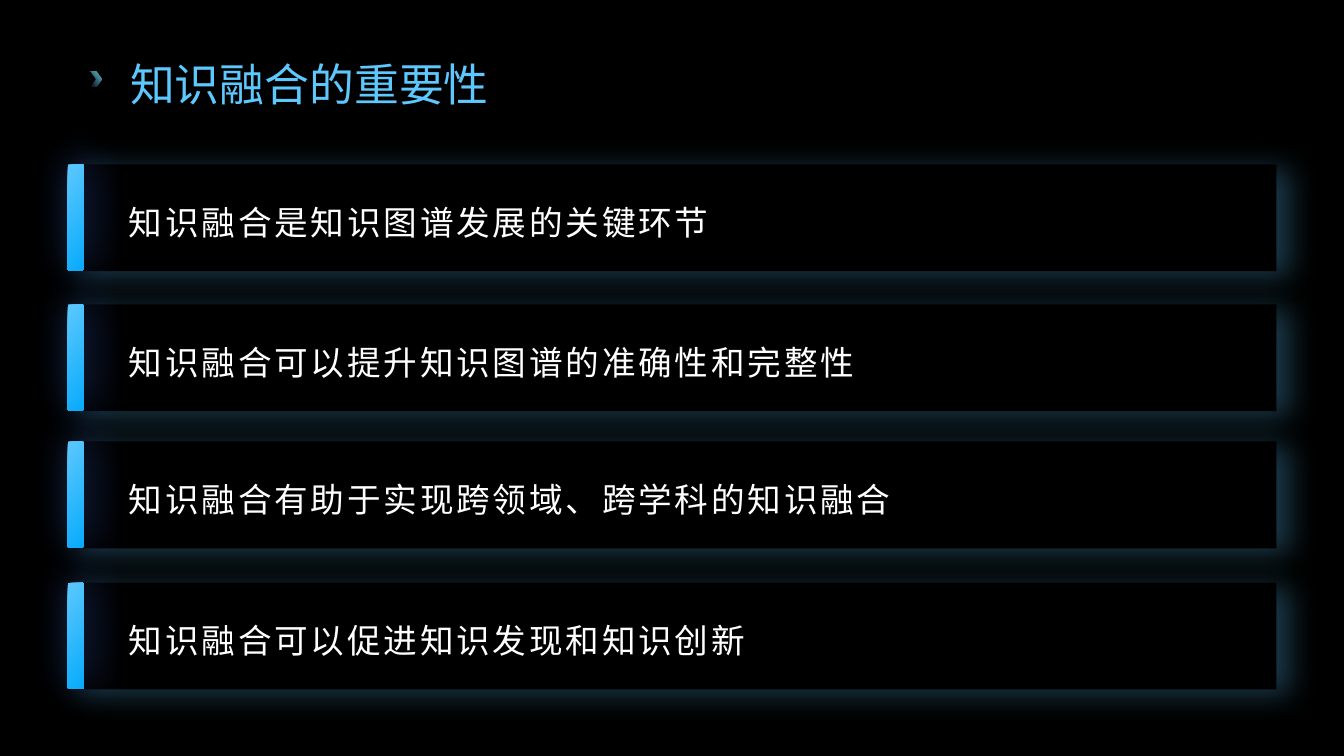
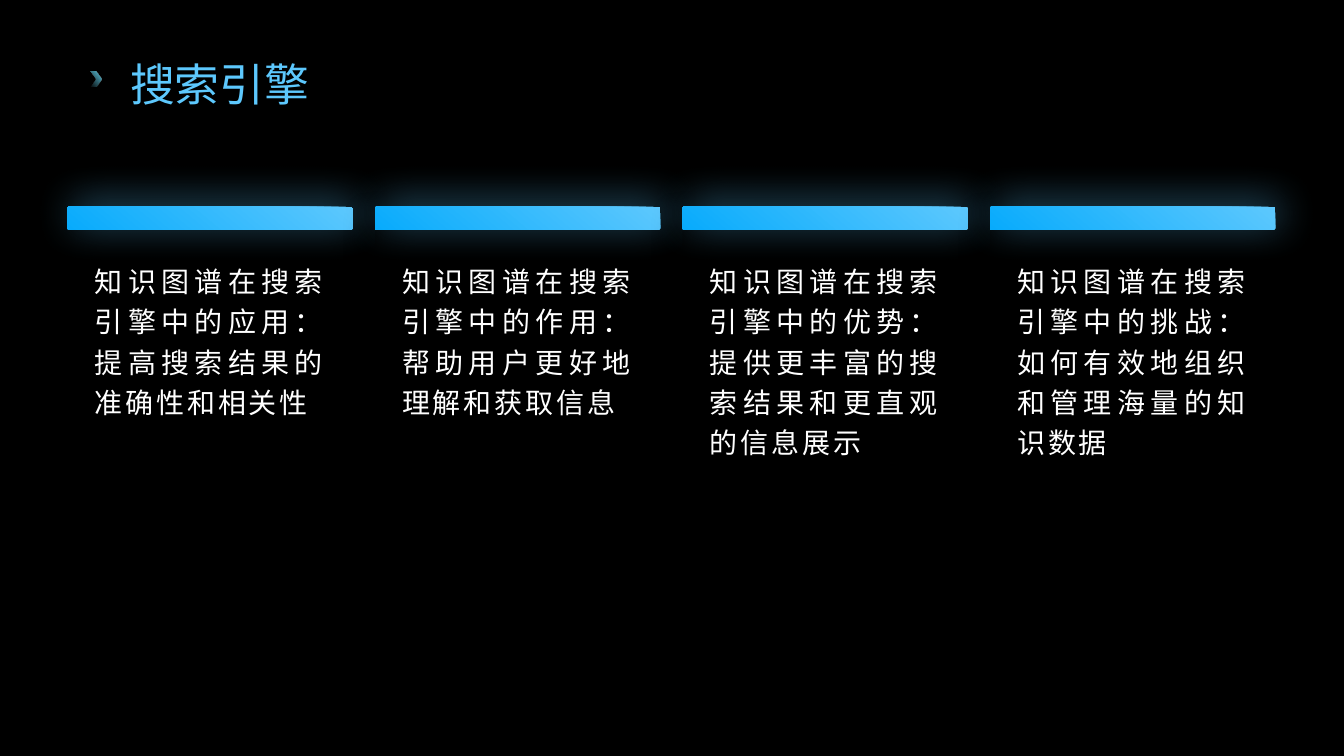
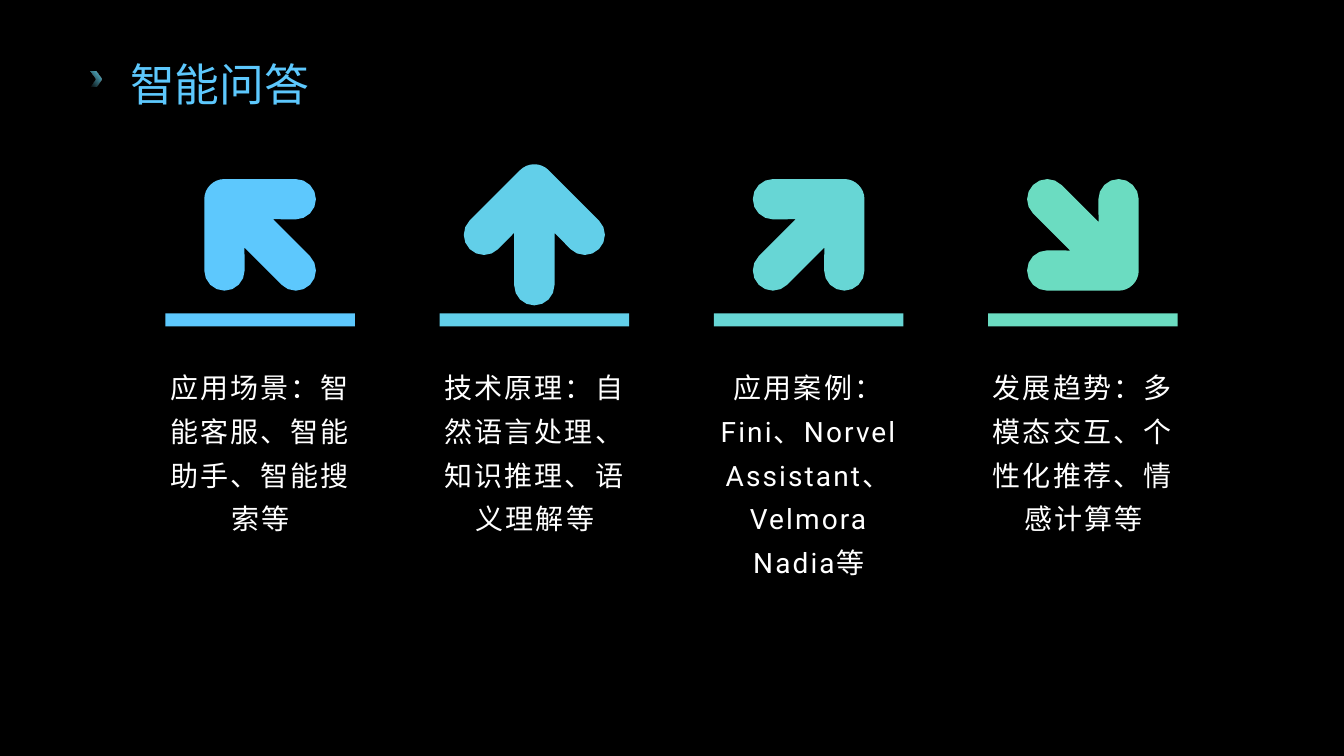
import math

import pptx
import pptx.dml.color
import pptx.enum.lang
import pptx.enum.shapes
import pptx.enum.text
import pptx.oxml
import pptx.oxml.ns
import pptx.util
from pptx.util import Inches

# Shared look
RGB = pptx.dml.color.RGBColor
BLACK = RGB(0x00, 0x00, 0x00)
WHITE = RGB(0xFF, 0xFF, 0xFF)
SKY = RGB(0x5D, 0xC8, 0xFD)
AZURE = RGB(0x08, 0xAB, 0xFC)
CYAN = RGB(0x62, 0xCF, 0xE9)
TEAL = RGB(0x67, 0xD6, 0xD5)
MINT = RGB(0x6B, 0xDC, 0xC1)
INDIGO = RGB(0x45, 0x75, 0xF0)
FONT = "Roboto"
SHAPE = pptx.enum.shapes.MSO_SHAPE
ALIGN = pptx.enum.text.PP_ALIGN
ANCHOR = pptx.enum.text.MSO_ANCHOR

# Content
IMPORTANCE = ("知识融合的重要性", [  # top of the row, text
    (1.63, "知识融合是知识图谱发展的关键环节"),
    (3.02, "知识融合可以提升知识图谱的准确性和完整性"),
    (4.38, "知识融合有助于实现跨领域、跨学科的知识融合"),
    (5.78, "知识融合可以促进知识发现和知识创新"),
])
SEARCH = ("搜索引擎", [
    "知识图谱在搜索引擎中的应用：提高搜索结果的准确性和相关性",
    "知识图谱在搜索引擎中的作用：帮助用户更好地理解和获取信息",
    "知识图谱在搜索引擎中的优势：提供更丰富的搜索结果和更直观的信息展示",
    "知识图谱在搜索引擎中的挑战：如何有效地组织和管理海量的知识数据",
])
ANSWERING = ("智能问答", [  # colour, arrow rotation, text
    (SKY, -45, "应用场景：智能客服、智能助手、智能搜索等"),
    (CYAN, 0, "技术原理：自然语言处理、知识推理、语义理解等"),
    (TEAL, 45, "应用案例：Fini、Norvel Assistant、Velmora Nadia等"),
    (MINT, 135, "发展趋势：多模态交互、个性化推荐、情感计算等"),
])

# Upward arrow around its centre: x, y, radius, first and last angle of each arc
ARC_STEPS = 8
ARROW_ARCS = [
    (0, -0.5, 0.2, 225, 315),
    (0.5, 0, 0.2, -45, 135),
    (0.2, -0.02, 0, 0, 0),
    (0, 0.5, 0.2, 0, 180),
    (-0.2, -0.02, 0, 0, 0),
    (-0.5, 0, 0.2, 45, 225),
]


def box_at(*lengths):
    return [Inches(length) for length in lengths]


def write(frame, text, size, color, align, line_spacing, tracking=0):
    frame.text = text
    frame.word_wrap = True
    para = frame.paragraphs[0]
    para.alignment = align
    para.line_spacing = line_spacing
    span = para.runs[0]
    span.font.name = FONT
    span.font.size = pptx.util.Pt(size)
    span.font.color.rgb = color
    span.font.language_id = pptx.enum.lang.MSO_LANGUAGE_ID.SIMPLIFIED_CHINESE
    if tracking:
        span._r.get_or_add_rPr().set("spc", str(int(tracking * 100)))


def add_text(page, place, text, size, align, line_spacing, tracking):
    frame = page.shapes.add_textbox(*box_at(*place)).text_frame
    write(frame, text, size, WHITE, align, line_spacing, tracking)
    return frame


def paint(shape, color):
    shape.shadow.inherit = False
    shape.line.fill.background()
    shape.fill.solid()
    shape.fill.fore_color.rgb = color


def paint_gradient(shape, start, end, clockwise):
    shape.fill.gradient()
    shape.fill.gradient_angle = 360 - clockwise
    for stop, position, color in zip(shape.fill.gradient_stops, (0, 1), (start, end)):
        stop.position = position
        stop.color.rgb = color


def add_shape(page, kind, place, color):
    shape = page.shapes.add_shape(kind, *box_at(*place))
    paint(shape, color)
    return shape


def glow(shape, color, alpha, blur, distance, direction):
    effects = shape._element.spPr.find(pptx.oxml.ns.qn("a:effectLst"))
    effects.append(pptx.oxml.parse_xml(
        f'<a:outerShdw {pptx.oxml.ns.nsdecls("a")} blurRad="{pptx.util.Pt(blur)}" '
        f'dist="{pptx.util.Pt(distance)}" dir="{direction * 60000}" algn="ctr" '
        f'rotWithShape="0"><a:srgbClr val="{color}"><a:alpha val="{alpha * 1000}"/>'
        f'</a:srgbClr></a:outerShdw>'))


def add_card(page, place, glow_color, alpha, direction):
    card = add_shape(page, SHAPE.ROUNDED_RECTANGLE, place, BLACK)
    card.adjustments[0] = 0
    glow(card, glow_color, alpha, 22, 9, direction)


def add_bar(page, place, clockwise, glow_color):
    bar = add_shape(page, SHAPE.ROUNDED_RECTANGLE, place, SKY)
    bar.adjustments[0] = 0.08
    paint_gradient(bar, SKY, AZURE, clockwise)
    glow(bar, glow_color, 45, 30, 5, 315)


def add_arrow(page, center_x, center_y, rotation, color):
    points = []
    for x, y, radius, first, last in ARROW_ARCS:
        steps = ARC_STEPS if radius else 0
        for step in range(steps + 1):
            angle = math.radians(first + (last - first) * step / ARC_STEPS)
            points.append((Inches(center_x + x + radius * math.cos(angle)),
                           Inches(center_y + y + radius * math.sin(angle))))
    builder = page.shapes.build_freeform(*points[0])
    builder.add_line_segments(points[1:], close=True)
    arrow = builder.convert_to_shape()
    paint(arrow, color)
    arrow.rotation = rotation


def prepare_layout(deck):
    """Black background and title place, shared by every slide."""
    fill = deck.slide_master.background.fill
    fill.solid()
    fill.fore_color.rgb = BLACK
    layout = deck.slide_layouts.get_by_name("Title Only")
    title = layout.placeholders[0]
    title.left, title.top, title.width, title.height = box_at(1.19, 0.44, 11.46, 0.67)
    frame = title.text_frame
    frame.margin_top = frame.margin_bottom = 0
    frame.vertical_anchor = ANCHOR.MIDDLE
    frame.auto_size = pptx.enum.text.MSO_AUTO_SIZE.NONE
    return layout


def add_page(deck, layout, title):
    page = deck.slides.add_slide(layout)
    write(page.shapes.title.text_frame, title, 32, SKY, ALIGN.LEFT, 1.2)
    return page


def add_chevron(page, layout):
    """Draw the fading title mark, then move it to the layout."""
    chevron = add_shape(page, SHAPE.CHEVRON, (0.9, 0.71, 0.11, 0.15), CYAN)
    paint_gradient(chevron, CYAN, CYAN, 315)
    first_color = chevron._element.spPr.find(".//" + pptx.oxml.ns.qn("a:srgbClr"))
    first_color.append(pptx.oxml.parse_xml(
        f'<a:alpha {pptx.oxml.ns.nsdecls("a")} val="0"/>'))
    layout.shapes._spTree.append(chevron._element)


def build_importance(page, rows):
    for top, text in rows:
        add_card(page, (0.67, top, 11.99, 1.06), SKY, 30, 17)
        add_bar(page, (0.67, top, 0.16, 1.05), 40, INDIGO)
    for top, text in rows:
        frame = add_text(page, (1.18, top, 11.48, 1.06), text, 24, ALIGN.LEFT, 1.2, 2)
        frame.vertical_anchor = ANCHOR.MIDDLE


def build_search(page, points):
    for column, text in enumerate(points):
        left = 0.67 + 3.05 * column
        add_card(page, (left, 2.05, 2.84, 4.38), BLACK, 40, 106)
        add_bar(page, (left, 2.05, 2.83, 0.23), 130, SKY)
        add_text(page, (left + 0.17, 2.51, 2.49, 3.73), text, 20, ALIGN.JUSTIFY, 1.2, 2)


def build_answering(page, points):
    for column, (color, rotation, text) in enumerate(points):
        center = 2.58 + 2.72 * column
        add_arrow(page, center, 2.33, rotation, color)
        add_text(page, (center - 1.08, 3.53, 2.17, 3.31), text, 20, ALIGN.CENTER, 1.3, 1.5)
        add_shape(page, SHAPE.RECTANGLE, (center - 0.94, 3.11, 1.88, 0.13), color)


def main():
    deck = pptx.Presentation()
    deck.slide_width, deck.slide_height = box_at(13.33, 7.5)
    layout = prepare_layout(deck)
    builders = [(build_importance, IMPORTANCE), (build_search, SEARCH),
                (build_answering, ANSWERING)]
    for build, (title, points) in builders:
        page = add_page(deck, layout, title)
        build(page, points)
    add_chevron(page, layout)
    deck.save("out.pptx")


if __name__ == "__main__":
    main()
